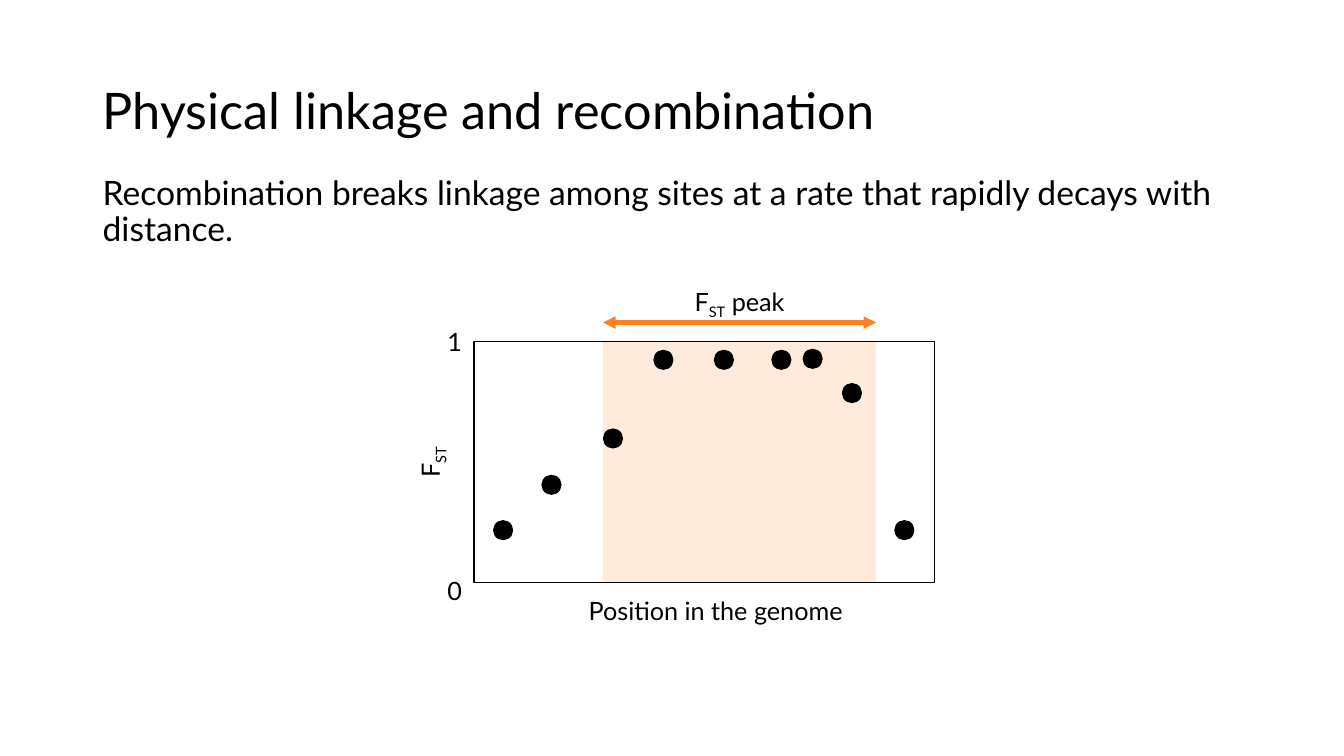
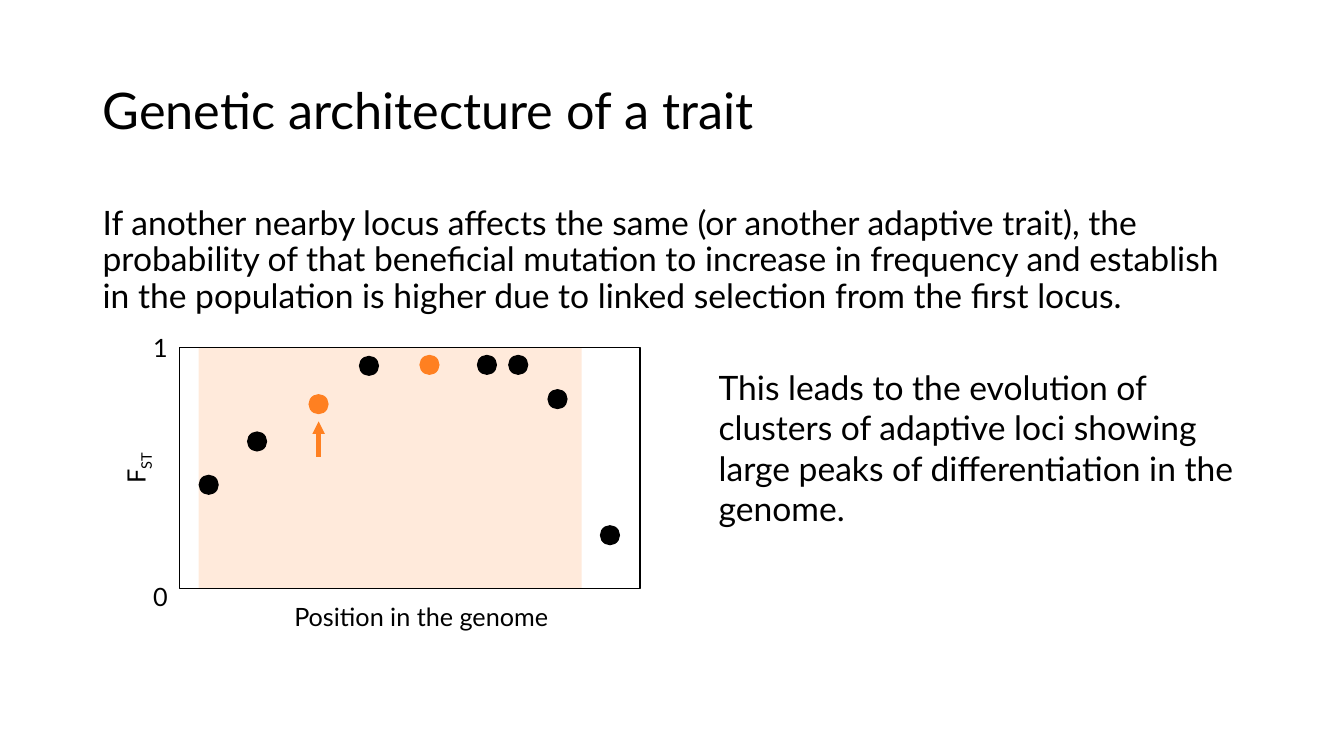
from pptx import Presentation
from pptx.dml.color import RGBColor
from pptx.enum.shapes import MSO_CONNECTOR, MSO_SHAPE
from pptx.enum.text import MSO_ANCHOR, MSO_AUTO_SIZE
from pptx.oxml.ns import qn
from pptx.util import Inches, Pt
from lxml.etree import SubElement

FONT = "Lato"
BLACK = "000000"
ORANGE = "FF8021"
BAND_OPACITY = 16000
TITLE_SIZE, BODY_SIZE, LABEL_SIZE = 36, 24, 18

MARGIN, CONTENT_WIDTH = 0.92, 11.5
PLOT_WIDTH, PLOT_HEIGHT = 4.57, 2.39
DOT_SIZE = 0.2
LABEL_HEIGHT = 0.4
# Left edges of the sites, shared by both plots
SITE_OFFSETS = [0.19, 0.67, 1.28, 1.78, 2.38, 2.95, 3.26, 3.65, 4.17]
# (text, is_subscript) pieces
FST = [("F", False), ("ST", True)]


def rgb(hex_color):
    return RGBColor.from_string(hex_color)


def inches(*lengths):
    return [Inches(length) for length in lengths]


def add_text(shapes, box, pieces, size, spacing=None, wrap=True,
             anchor=MSO_ANCHOR.TOP):
    """Add one paragraph; pieces is a string or (text, is_subscript) pairs."""
    shape = shapes.add_textbox(*inches(*box))
    frame = shape.text_frame
    frame.word_wrap = wrap
    frame.auto_size = MSO_AUTO_SIZE.NONE if wrap else MSO_AUTO_SIZE.SHAPE_TO_FIT_TEXT
    frame.vertical_anchor = anchor
    paragraph = frame.paragraphs[0]
    if spacing:
        paragraph.line_spacing = spacing
    paragraph.font.name = FONT
    paragraph.font.size = Pt(size)
    paragraph.font.color.rgb = rgb(BLACK)
    if isinstance(pieces, str):
        pieces = [(pieces, False)]
    for text, is_subscript in pieces:
        run = paragraph.add_run()
        run.text = text
        if is_subscript:
            run.font._element.set("baseline", "-25000")
    return shape


def add_label(shapes, left, top, width, pieces):
    return add_text(shapes, (left, top, width, LABEL_HEIGHT), pieces,
                    LABEL_SIZE, wrap=False)


def add_figure(shapes, kind, box, fill=None, line=None):
    shape = shapes.add_shape(kind, *inches(*box))
    shape.shadow.inherit = False
    if fill:
        shape.fill.solid()
        shape.fill.fore_color.rgb = rgb(fill)
    else:
        shape.fill.background()
    if line:
        shape.line.color.rgb = rgb(line)
        shape.line.width = Pt(1)
    else:
        shape.line.fill.background()
    return shape


def add_arrow(shapes, start, end, both_ends=False):
    connector = shapes.add_connector(MSO_CONNECTOR.STRAIGHT,
                                     *inches(*start, *end))
    connector.line.color.rgb = rgb(ORANGE)
    connector.line.width = Pt(3)
    line = connector.line._get_or_add_ln()
    for tag in ["a:headEnd", "a:tailEnd"] if both_ends else ["a:tailEnd"]:
        SubElement(line, qn(tag), type="triangle")
    SubElement(connector._element.spPr, qn("a:effectLst"))


def add_peak_band(shapes, left, top, width):
    band = add_figure(shapes, MSO_SHAPE.RECTANGLE,
                      (left, top, width, PLOT_HEIGHT), fill=ORANGE)
    color = band._element.spPr.find(".//" + qn("a:srgbClr"))
    SubElement(color, qn("a:alpha"), val=str(BAND_OPACITY))


def add_plot(slide, left, top, dot_tops, adaptive_sites=()):
    """Group a frame, its axis labels and one dot per site."""
    shapes = slide.shapes.add_group_shape().shapes
    add_figure(shapes, MSO_SHAPE.RECTANGLE,
               (left, top, PLOT_WIDTH, PLOT_HEIGHT), line=BLACK)
    add_label(shapes, left - 0.7, top + 0.98, 0.53, FST).rotation = 270
    for site, (offset, dot_top) in enumerate(zip(SITE_OFFSETS, dot_tops)):
        color = ORANGE if site in adaptive_sites else BLACK
        add_figure(shapes, MSO_SHAPE.OVAL,
                   (left + offset, top + dot_top, DOT_SIZE, DOT_SIZE), fill=color)
    add_label(shapes, left - 0.36, top + 2.27, 0.34, "0")
    add_label(shapes, left - 0.36, top - 0.2, 0.34, "1")
    add_label(shapes, left + 1.04, top + 2.47, 2.82, "Position in the genome")


def add_slide(presentation, title, body, body_top, body_height):
    slide = presentation.slides.add_slide(presentation.slide_layouts[6])
    add_text(slide.shapes, (MARGIN, 0.4, CONTENT_WIDTH, 1.45), title,
             TITLE_SIZE, spacing=0.9, anchor=MSO_ANCHOR.MIDDLE)
    add_text(slide.shapes, (MARGIN, body_top, CONTENT_WIDTH, body_height), body,
             BODY_SIZE, spacing=0.9)
    return slide


def add_linkage_slide(presentation):
    slide = add_slide(
        presentation, "Physical linkage and recombination",
        "Recombination breaks linkage among sites at a rate that rapidly "
        "decays with distance.", 1.7, 0.99)
    left, top = 4.7, 3.39
    band_left, band_width = left + SITE_OFFSETS[2], 2.71
    add_peak_band(slide.shapes, band_left, top, band_width)
    add_label(slide.shapes, 6.79, 2.79, 1.15, FST + [(" peak", False)])
    add_arrow(slide.shapes, (band_left, 3.2), (band_left + band_width, 3.2),
              both_ends=True)
    add_plot(slide, left, top,
             [1.77, 1.32, 0.86, 0.08, 0.08, 0.08, 0.07, 0.41, 1.77])


def add_architecture_slide(presentation):
    slide = add_slide(
        presentation, "Genetic architecture of a trait",
        "If another nearby locus affects the same (or another adaptive trait), "
        "the probability of that beneficial mutation to increase in frequency "
        "and establish in the population is higher due to linked selection "
        "from the first locus.", 2, 1.3)
    left, top = 1.78, 3.45
    add_peak_band(slide.shapes, left + SITE_OFFSETS[0], top, 3.8)
    add_plot(slide, left, top,
             [1.26, 0.83, 0.46, 0.08, 0.07, 0.07, 0.07, 0.41, 1.76],
             adaptive_sites=(2, 4))
    add_text(slide.shapes, (7.03, 3.59, 5.46, 1.72),
             "This leads to the evolution of clusters of adaptive loci showing "
             "large peaks of differentiation in the genome.", BODY_SIZE)
    arrow_x = left + SITE_OFFSETS[2] + DOT_SIZE / 2
    add_arrow(slide.shapes, (arrow_x, 4.53), (arrow_x, 4.18))


def main():
    presentation = Presentation()
    presentation.slide_width, presentation.slide_height = inches(13.33, 7.5)
    add_linkage_slide(presentation)
    add_architecture_slide(presentation)
    presentation.save("out.pptx")


if __name__ == "__main__":
    main()
